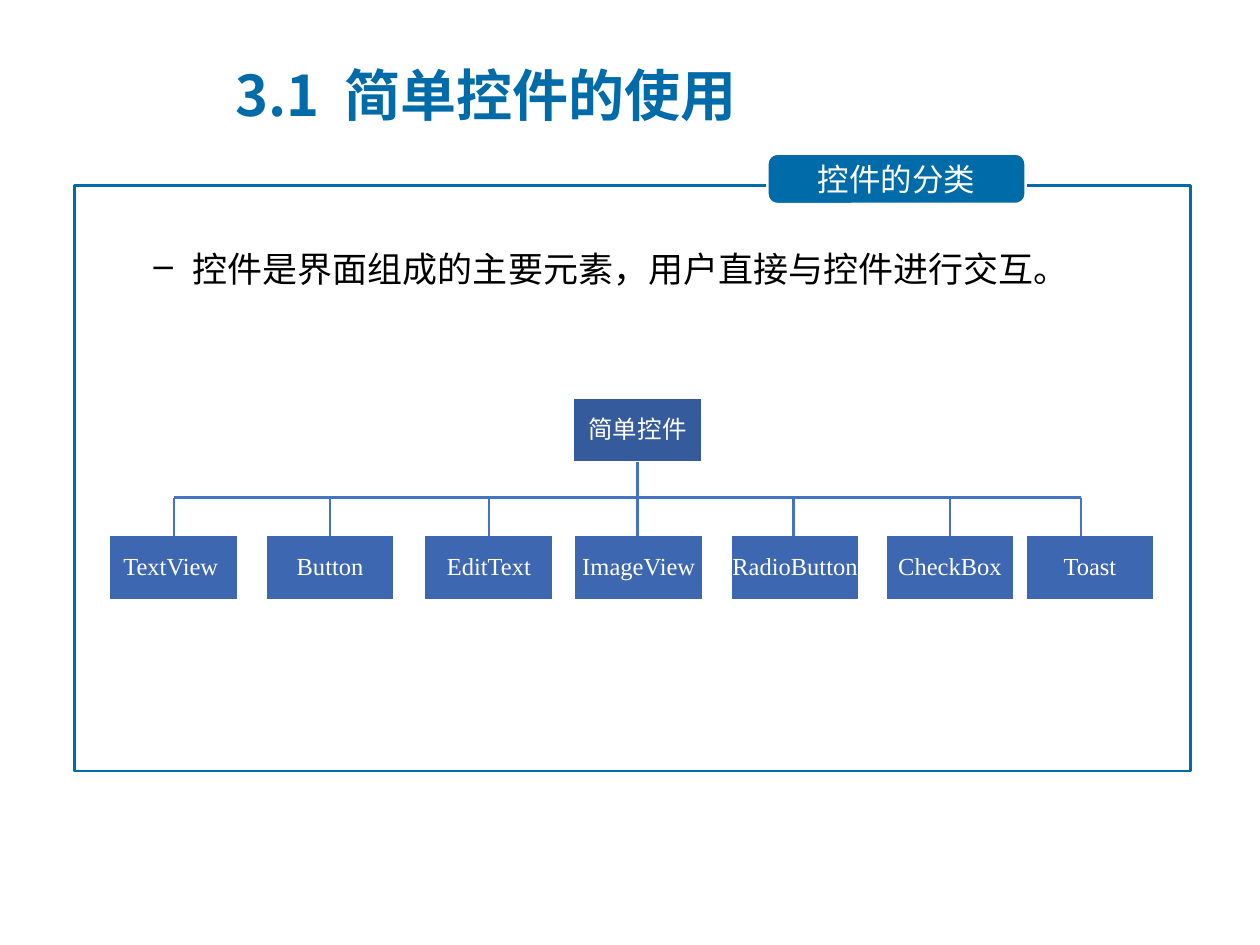
from dataclasses import dataclass

from lxml.etree import SubElement as Sub
from pptx import Presentation
from pptx.dml.color import RGBColor as Rgb
from pptx.enum.shapes import MSO_CONNECTOR as Link, MSO_SHAPE as Kind
from pptx.enum.text import MSO_ANCHOR as Anchor, PP_ALIGN as Align
from pptx.oxml.ns import qn
from pptx.util import Inches, Pt

HUES = {"blue": "006BA9", "root": "365B9D", "leaf": "3E67B2",
        "link": "4472C4", "white": "FFFFFF", "black": "000000"}
HAN = "Noto Sans CJK SC"


@dataclass
class Font:
    face: str
    size: int
    hue: str
    bold: bool = False


@dataclass
class Node:
    text: str
    left: float
    stem: float  # x of the line that meets the node


# Widgets in the tree
WIDE, HIGH = 1.02, 0.51
ROOT_TOP, BUS, LEAF_TOP = 3.16, 3.95, 4.25
ROOT = Node("简单控件", 4.55, 5.06)
LEAVES = [
    Node("TextView ", 0.87, 1.38),
    Node("Button", 2.11, 2.62),
    Node("EditText", 3.37, 3.88),
    Node("ImageView", 4.56, 5.06),
    Node("RadioButton", 5.8, 6.3),
    Node("CheckBox", 7.03, 7.54),
    Node("Toast", 8.14, 8.58),
]


def tint(hue: str) -> Rgb:
    return Rgb.from_string(HUES[hue])


def add_run(para, text: str, font: Font, gap: float = 0) -> None:
    run = para.add_run()
    run.text = text
    run.font.name = font.face
    run.font.size = Pt(font.size)
    run.font.bold = font.bold
    run.font.color.rgb = tint(font.hue)
    props = run.font._element
    Sub(props, qn("a:ea")).set("typeface", HAN)
    if gap:
        props.set("spc", str(int(gap * 100)))


def add_text(left: float, top: float, wide: float, high: float, anchor):
    frame = slide.shapes.add_textbox(
        Inches(left), Inches(top), Inches(wide), Inches(high)).text_frame
    frame.word_wrap = True
    frame.vertical_anchor = anchor
    return frame.paragraphs[0]


def indent(para, left: float, first: float) -> None:
    props = para._p.get_or_add_pPr()
    props.set("marL", str(Inches(left)))
    props.set("indent", str(Inches(first)))


def add_box(kind, left: float, top: float, wide: float, high: float,
            fill: str | None, edge: str, width: float):
    box = slide.shapes.add_shape(
        kind, Inches(left), Inches(top), Inches(wide), Inches(high))
    box.shadow.inherit = False
    if fill:
        box.fill.solid()
        box.fill.fore_color.rgb = tint(fill)
    else:
        box.fill.background()
    box.line.color.rgb = tint(edge)
    box.line.width = Pt(width)
    return box


def label(box, text: str, font: Font, side: float, edge: float):
    frame = box.text_frame
    frame.word_wrap = True
    frame.vertical_anchor = Anchor.MIDDLE
    frame.margin_left = frame.margin_right = Inches(side)
    frame.margin_top = frame.margin_bottom = Inches(edge)
    para = frame.paragraphs[0]
    para.alignment = Align.CENTER
    add_run(para, text, font)
    return para


def add_node(node: Node, top: float, fill: str, face: str) -> None:
    box = add_box(Kind.RECTANGLE, node.left, top, WIDE, HIGH, fill, "white", 1)
    para = label(box, node.text, Font(face, 14, "white"), 0.01, 0.01)
    para.line_spacing = 0.9


def add_link(x1: float, y1: float, x2: float, y2: float) -> None:
    link = slide.shapes.add_connector(
        Link.STRAIGHT, Inches(x1), Inches(y1), Inches(x2), Inches(y2))
    link.line.color.rgb = tint("link")
    link.line.width = Pt(1.5)
    Sub(link._element.spPr, qn("a:effectLst"))


deck = Presentation()
deck.slide_width, deck.slide_height = Inches(10), Inches(7.5)
slide = deck.slides.add_slide(deck.slide_layouts[6])

# Lead sentence with a dash
lead = add_text(0.62, 1.75, 8.72, 0.85, Anchor.TOP)
indent(lead, 0.81, -0.31)
lead.line_spacing = 1.5
Sub(lead._p.get_or_add_pPr(), qn("a:buChar")).set("char", "–")
add_run(lead, "控件是界面组成的主要元素，用户直接与控件进行交互。",
        Font("Arial", 20, "black"))

# Title, with a wider gap after the number
title = add_text(1.77, 0.44, 7.72, 0.61, Anchor.MIDDLE)
indent(title, 0.62, -0.62)
bold = Font(HAN, 32, "blue", True)
add_run(title, "3.1", bold)
add_run(title, " ", bold, gap=7)
add_run(title, "简单控件的使用", bold)

# Tree of widgets
add_node(ROOT, ROOT_TOP, "root", "Arial")
for leaf in LEAVES:
    add_node(leaf, LEAF_TOP, "leaf", "Times New Roman")
    add_link(leaf.stem, LEAF_TOP, leaf.stem, BUS)
add_link(ROOT.stem, ROOT_TOP + HIGH, ROOT.stem, BUS)
add_link(LEAVES[0].stem, BUS, LEAVES[-1].stem, BUS)

# Frame and its tag
add_box(Kind.RECTANGLE, 0.59, 1.47, 8.86, 4.65, None, "blue", 1.5)
tag = add_box(Kind.ROUNDED_RECTANGLE, 6.09, 1.22, 2.05, 0.4,
              "blue", "white", 1.5)
tag.adjustments[0] = 0.2
label(tag, "控件的分类", Font(HAN, 18, "white"), 0.24, 0.06)

deck.save("out.pptx")
